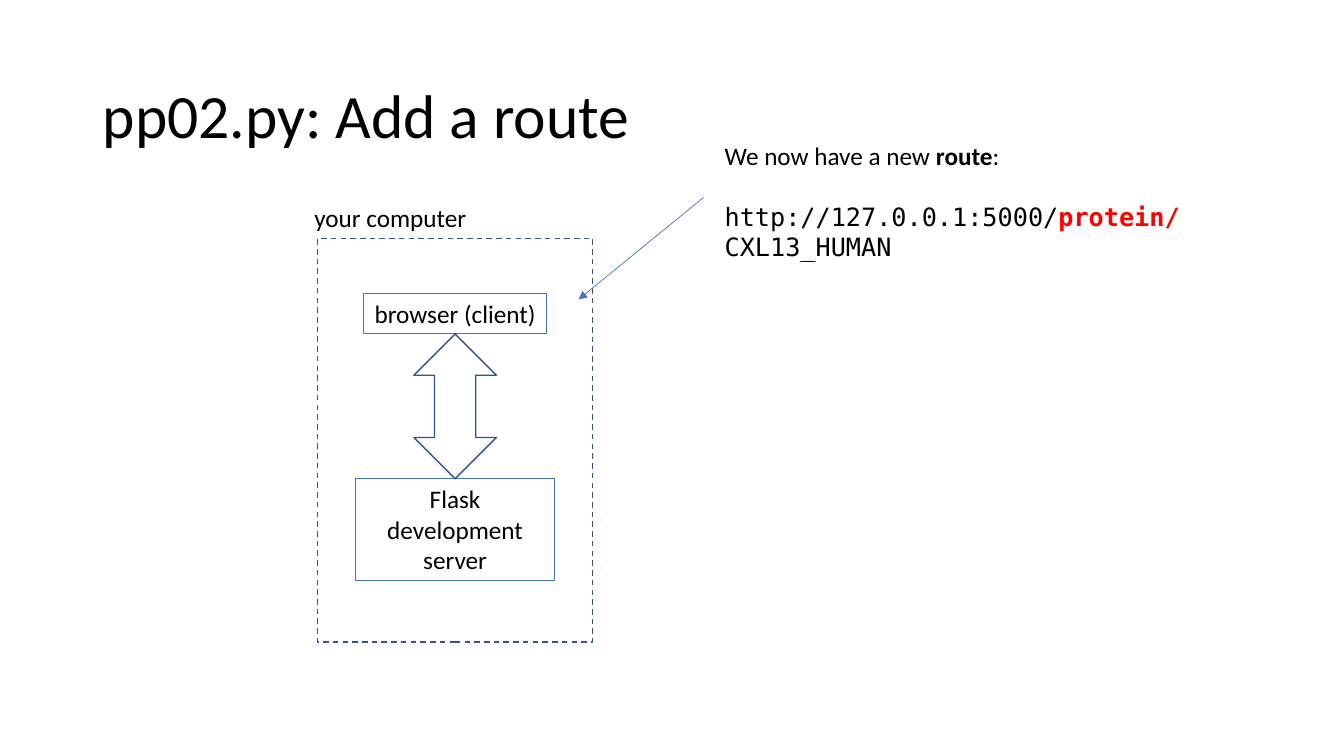
from lxml.etree import SubElement
from pptx import Presentation
from pptx.dml.color import RGBColor
from pptx.enum.dml import MSO_LINE
from pptx.enum.shapes import MSO_CONNECTOR, MSO_SHAPE
from pptx.enum.text import MSO_ANCHOR, MSO_AUTO_SIZE, PP_ALIGN
from pptx.oxml.ns import qn
from pptx.util import Pt

SANS, MONO = "Calibri", "DejaVu Sans Mono"
BLACK, RED, BLUE, NAVY = "000000", "FF0000", "4472C4", "325491"
LINE_HEIGHT = 22
ONE_LINE_BOX = 29.08


def color(hex_string):
    return RGBColor.from_string(hex_string)


def points(*lengths):
    return [Pt(length) for length in lengths]


def apply(target, formats):
    for name, value in formats.items():
        setattr(target, name, value)


def write(paragraph, runs, size=18, **formats):
    """Fill a paragraph with (text, font formats, colour) runs."""
    apply(paragraph, formats)
    for text, font_formats, ink in runs:
        run = paragraph.add_run()
        run.text = text
        apply(run.font, {"name": SANS, "size": Pt(size), "bold": False, **font_formats})
        run.font.color.rgb = color(ink)


def outlined(shapes, preset, box, ink, width):
    outline = shapes.add_shape(preset, *points(*box))
    outline.shadow.inherit = False
    outline.fill.background()
    outline.line.color.rgb = color(ink)
    outline.line.width = Pt(width)
    return outline


def add_heading(slide, box):
    heading = slide.shapes.title
    apply(heading, dict(zip(("left", "top", "width", "height"), points(*box))))
    apply(heading.text_frame, {"vertical_anchor": MSO_ANCHOR.MIDDLE, "word_wrap": True})
    write(heading.text_frame.paragraphs[0], [("pp02.py: Add a route", {}, BLACK)],
          size=44, alignment=PP_ALIGN.LEFT, line_spacing=0.9)


def add_computer(slide, box):
    left, top, width, height = box
    center = left + width / 2

    # Client and server
    client_top, server_top = top + 38.9, top + 171.4
    for text, box_top, box_width, box_height, wrap in (
        ("browser (client)", client_top, 131, ONE_LINE_BOX, False),
        ("Flask development server", server_top, 141.8, 72.7, True),
    ):
        program = outlined(slide.shapes, MSO_SHAPE.RECTANGLE,
                           (center - box_width / 2, box_top, box_width, box_height), BLUE, 0.75)
        apply(program.text_frame, {"word_wrap": wrap, "vertical_anchor": MSO_ANCHOR.TOP,
                                   "auto_size": MSO_AUTO_SIZE.SHAPE_TO_FIT_TEXT})
        write(program.text_frame.paragraphs[0], [(text, {}, BLACK)], alignment=PP_ALIGN.CENTER)

    # Traffic in both directions
    traffic_top, traffic_width = client_top + ONE_LINE_BOX, 59
    outlined(slide.shapes, MSO_SHAPE.UP_DOWN_ARROW,
             (center - traffic_width / 2, traffic_top, traffic_width, server_top - traffic_top),
             NAVY, 1)

    # Dashed frame with its label
    computer = slide.shapes.add_group_shape().shapes
    frame = outlined(computer, MSO_SHAPE.RECTANGLE, box, NAVY, 1)
    frame.line.dash_style = MSO_LINE.DASH
    label = computer.add_textbox(*points(left - 9.3, top - 29.5, 124.6, ONE_LINE_BOX)).text_frame
    apply(label, {"word_wrap": False, "auto_size": MSO_AUTO_SIZE.SHAPE_TO_FIT_TEXT})
    write(label.paragraphs[0], [("your computer", {}, BLACK)])


def add_route(slide, box):
    left, top, width, height = box
    route = slide.shapes.add_textbox(*points(*box)).text_frame
    apply(route, {"word_wrap": True, "auto_size": MSO_AUTO_SIZE.SHAPE_TO_FIT_TEXT})
    write(route.paragraphs[0], [("We now have a new ", {}, BLACK),
                                ("route", {"bold": True}, BLACK), (":", {}, BLACK)])
    write(route.add_paragraph(), [("http://127.0.0.1:5000/", {"name": MONO}, BLACK),
                                  ("protein/", {"name": MONO, "bold": True}, RED),
                                  ("CXL13_HUMAN", {"name": MONO}, BLACK)],
          space_before=Pt(LINE_HEIGHT))

    # Pointer from the address to the browser
    pointer = slide.shapes.add_connector(
        MSO_CONNECTOR.STRAIGHT, *points(left - 8, top + 44.6, left - 97.2, top + 117.4))
    pointer.line.color.rgb = color(BLUE)
    pointer.line.width = Pt(0.5)
    SubElement(pointer.line._get_or_add_ln(), qn("a:tailEnd"), type="triangle")
    SubElement(pointer._element.spPr, qn("a:effectLst"))


presentation = Presentation()
presentation.slide_width, presentation.slide_height = points(960, 540)
title_only = presentation.slide_layouts[5]
route_slide = presentation.slides.add_slide(title_only)
add_heading(route_slide, (66.2, 32.4, 828, 104.4))
add_computer(route_slide, (226.8, 170.6, 196.6, 288))
add_route(route_slide, (510.5, 96.5, 423.4, 72.7))
presentation.save("out.pptx")
